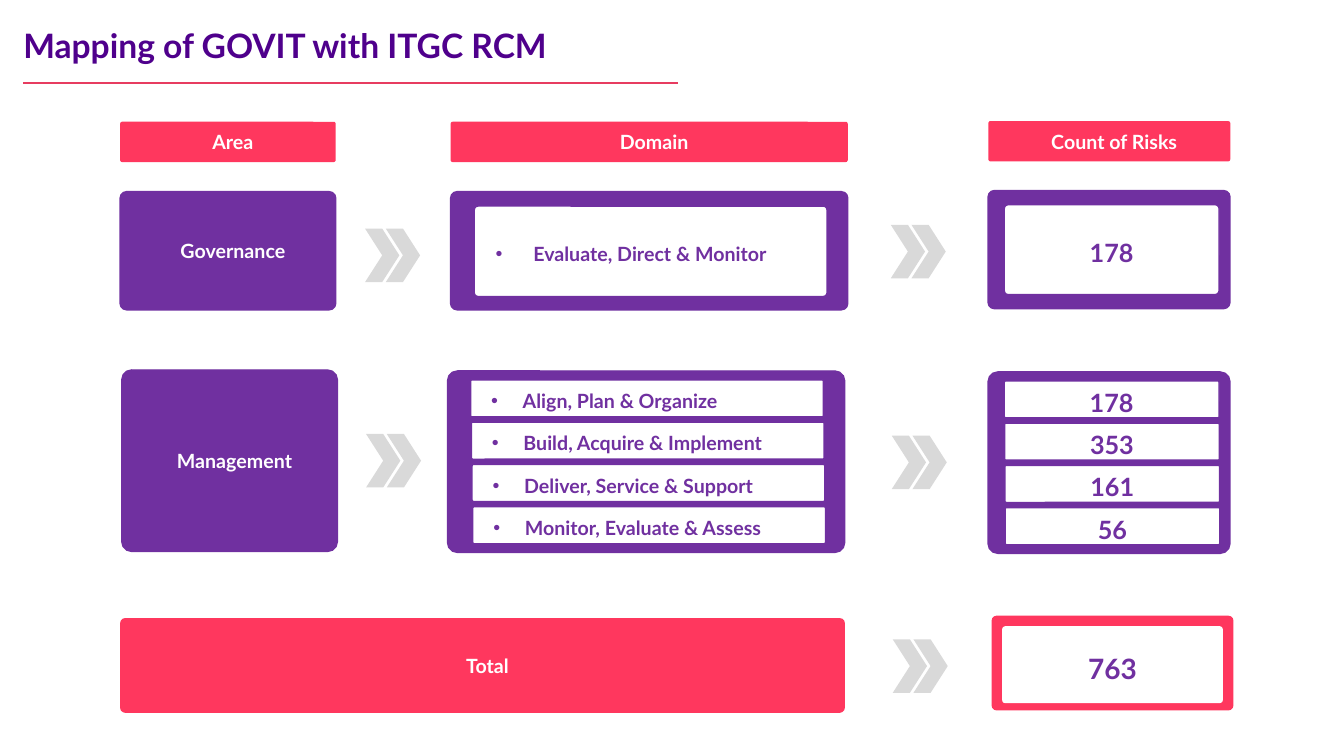
from lxml.etree import SubElement
from pptx import Presentation
from pptx.dml.color import RGBColor
from pptx.enum.shapes import MSO_CONNECTOR, MSO_SHAPE
from pptx.enum.text import MSO_ANCHOR, MSO_AUTO_SIZE, PP_ALIGN
from pptx.oxml.ns import qn
from pptx.util import Pt

COLORS = {
    "title": "4F008C",
    "rule": "E73C60",
    "accent": "FF375E",
    "purple": "7030A0",
    "chevron": "D9D9D9",
    "white": "FFFFFF",
}


class MappingSlide:
    font_name = "Lato"

    def __init__(self, slide):
        self.slide = slide

    def color(self, name):
        return RGBColor.from_string(COLORS[name])

    def style(self, paragraph, size, color):
        font = paragraph.font
        font.name, font.size, font.bold = self.font_name, Pt(size), True
        font.color.rgb = self.color(color)

    def margins(self, frame, left, top, right, bottom):
        frame.margin_left, frame.margin_top = Pt(left), Pt(top)
        frame.margin_right, frame.margin_bottom = Pt(right), Pt(bottom)
        frame.vertical_anchor = MSO_ANCHOR.MIDDLE
        frame.word_wrap = True

    def title(self, text, left, top, width, height):
        heading = self.slide.shapes.title
        heading.left, heading.top = Pt(left), Pt(top)
        heading.width, heading.height = Pt(width), Pt(height)
        frame = heading.text_frame
        frame.text = text
        frame.auto_size = MSO_AUTO_SIZE.NONE
        self.margins(frame, 0, 0, 0, 0)
        frame.paragraphs[0].alignment = PP_ALIGN.LEFT
        self.style(frame.paragraphs[0], 24, "title")

    def rule(self, left, top, right):
        underline = self.slide.shapes.add_connector(
            MSO_CONNECTOR.STRAIGHT, Pt(left), Pt(top), Pt(right), Pt(top))
        underline.line.color.rgb = self.color("rule")
        underline.line.width = Pt(1)
        SubElement(underline._element.spPr, qn("a:effectLst"))

    def shape(self, kind, left, top, width, height, fill, outline=None):
        part = self.slide.shapes.add_shape(kind, Pt(left), Pt(top), Pt(width), Pt(height))
        part.shadow.inherit = False
        part.fill.solid()
        part.fill.fore_color.rgb = self.color(fill)
        if outline:
            part.line.color.rgb = self.color(outline)
            part.line.width = Pt(1)
        else:
            part.line.fill.background()
        return part

    def panel(self, left, top, width, height, fill, text=""):
        outline = "purple" if fill == "purple" else None
        panel = self.shape(MSO_SHAPE.ROUNDED_RECTANGLE, left, top, width, height, fill, outline)
        panel.adjustments[0] = 0.054
        if text:
            frame = panel.text_frame
            frame.text = text
            self.margins(frame, 7.2, 3.6, 0, 3.6)
            label = frame.paragraphs[0]
            label.alignment = PP_ALIGN.CENTER
            label.space_after = Pt(3)
            self.style(label, 14, "white")

    def field(self, left, top, width, height, text, size, indent=0, outline="purple"):
        field = self.shape(MSO_SHAPE.ROUNDED_RECTANGLE, left, top, width, height, "white", outline)
        field.adjustments[0] = 0.042
        frame = field.text_frame
        frame.text = text
        self.margins(frame, 14.4, 3.6, 14.4, 3.6)
        entry = frame.paragraphs[0]
        entry.alignment = PP_ALIGN.LEFT if indent else PP_ALIGN.CENTER
        entry.line_spacing = 1.2
        if indent:
            properties = entry._p.get_or_add_pPr()
            properties.set("marL", str(Pt(indent)))
            properties.set("indent", str(-Pt(indent)))
            SubElement(properties, qn("a:buFont")).set("typeface", "Arial")
            SubElement(properties, qn("a:buChar")).set("char", "•")
        self.style(entry, size, "purple")

    def double_chevron(self, left, top):
        for offset in (0, 14.8):
            self.shape(MSO_SHAPE.CHEVRON, left + offset, top, 24.5, 38.2, "chevron")


def main():
    presentation = Presentation()
    presentation.slide_width, presentation.slide_height = Pt(960), Pt(540)
    page = MappingSlide(presentation.slides.add_slide(presentation.slide_layouts[5]))

    page.title("Mapping of GOVIT with ITGC RCM", 16.6, 11.5, 822, 41)
    page.rule(16.6, 59.2, 484.6)

    for heading, left, top, width in (
        ("Area", 85.8, 87, 154),
        ("Domain", 321.9, 87, 283.7),
        ("Count of Risks", 706, 86.5, 172.8),
    ):
        page.panel(left, top, width, 28.8, "accent", heading)

    for left, top in ((260.8, 163.3), (636.3, 160.6), (261.5, 310),
                      (637, 311.2), (637.7, 456.7)):
        page.double_chevron(left, top)

    page.panel(85.8, 136.9, 154, 84.4, "purple", "Governance")
    page.panel(321.9, 136.9, 283.7, 84.4, "purple")
    page.field(338.8, 147.2, 252, 64.6, "Evaluate, Direct & Monitor", 14, 27)
    page.panel(705.8, 136.1, 172.8, 84.4, "purple")
    page.field(717.4, 146.2, 153.4, 64.2, "178", 18)

    page.panel(87, 264.3, 154, 129.6, "purple", "Management")
    page.panel(319.7, 265, 283.7, 129.6, "purple")
    page.panel(705.8, 265.7, 172.8, 129.6, "purple")
    domain_risks = (
        ("Align, Plan & Organize", "178"),
        ("Build, Acquire & Implement", "353"),
        ("Deliver, Service & Support", "161"),
        ("Monitor, Evaluate & Assess", "56"),
    )
    for row, (domain, risks) in enumerate(domain_risks):
        top = 271.3 + row * 30.2
        page.field(336.2 + row * 0.5, top, 252, 26.5, domain, 14, 22.5)
        page.field(717.4 + row * 0.2, top + 0.7, 153.4, 26.5, risks, 18)

    page.panel(85.8, 441.5, 517.7, 67.7, "accent", "Total")
    page.panel(708.3, 439.8, 172.8, 67.7, "accent")
    page.field(715.8, 447.3, 157.7, 55, "763", 20, outline=None)

    presentation.save("out.pptx")


if __name__ == "__main__":
    main()
